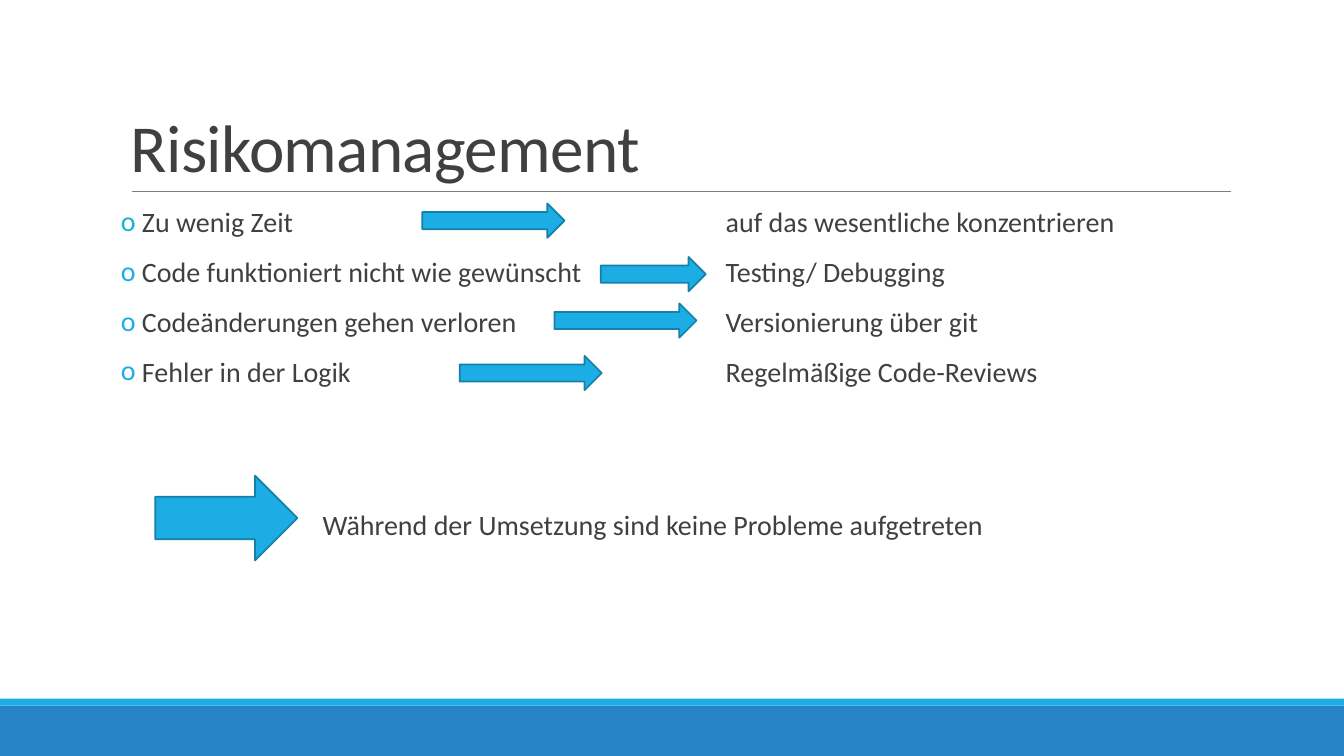
from lxml.etree import SubElement
from pptx import Presentation
from pptx.dml.color import RGBColor
from pptx.enum.shapes import MSO_CONNECTOR as Connector, MSO_SHAPE as Shape
from pptx.enum.text import MSO_ANCHOR as Anchor
from pptx.oxml.ns import qn
from pptx.util import Pt

RISKS = [
    ("Zu wenig Zeit", "auf das wesentliche konzentrieren", (301.7, 145.4, 101.5)),
    ("Code funktioniert nicht wie gewünscht", "Testing/ Debugging", (429.1, 183.6, 75)),
    ("Codeänderungen gehen verloren", "Versionierung über git", (396, 216.7, 101.5)),
    ("Fehler in der Logik", "Regelmäßige Code-Reviews", (328.3, 254.2, 101.5)),
]
BODY_LEFT, BODY_TOP, BODY_WIDTH = 86.4, 145.4, 792
ROW_PITCH = 36
CONCLUSION_ROW = 6
CONCLUSION_LEFT = 230.4
MEASURE_TAB = 432


def color(value):
    return RGBColor.from_string(value)


class RiskSlide:
    font = "Calibri"
    text_color = "404040"
    accent = "1CADE4"
    accent_edge = "1580A9"
    footer = "2683C6"
    rule_color = "808080"

    def __init__(self, presentation):
        self.slide = presentation.slides.add_slide(presentation.slide_layouts[6])

    def shape(self, kind, left, top, width, height, fill, edge=None):
        shape = self.slide.shapes.add_shape(kind, Pt(left), Pt(top), Pt(width), Pt(height))
        shape.shadow.inherit = False
        shape.fill.solid()
        shape.fill.fore_color.rgb = color(fill)
        if edge:
            shape.line.color.rgb = color(edge)
            shape.line.width = Pt(1.25)
        else:
            shape.line.fill.background()

    def arrow(self, left, top, width, height=24.5):
        self.shape(Shape.RIGHT_ARROW, left, top, width, height, self.accent, self.accent_edge)

    def rule(self, left, right, y):
        line = self.slide.shapes.add_connector(
            Connector.STRAIGHT, Pt(left), Pt(y), Pt(right), Pt(y))
        line.line.color.rgb = color(self.rule_color)
        line.line.width = Pt(0.5)
        SubElement(line._element.spPr, qn("a:effectLst"))

    def text(self, lines, left, top, width, height, size=20, line_spacing=0.9,
             before=12, after=2, inset=0, anchor=Anchor.TOP, tracking=None,
             bullet=None, tab=None):
        frame = self.slide.shapes.add_textbox(
            Pt(left), Pt(top), Pt(width), Pt(height)).text_frame
        frame.word_wrap = True
        frame.vertical_anchor = anchor
        frame.margin_left = frame.margin_right = Pt(inset)
        for index, line in enumerate(lines):
            paragraph = frame.add_paragraph() if index else frame.paragraphs[0]
            paragraph.line_spacing = line_spacing
            paragraph.space_before = Pt(before)
            paragraph.space_after = Pt(after)
            run = paragraph.add_run()
            run.text = line
            run.font.name = self.font
            run.font.size = Pt(size)
            run.font.color.rgb = color(self.text_color)
            if tracking:
                run.font._element.set("spc", str(int(tracking * 100)))
            properties = paragraph._p.get_or_add_pPr()
            if bullet:
                properties.set("marL", str(Pt(7.2)))
                properties.set("indent", str(Pt(-7.2)))
                bullet_color = SubElement(properties, qn("a:buClr"))
                SubElement(bullet_color, qn("a:srgbClr"), val=self.accent)
                SubElement(properties, qn("a:buFont"), typeface=self.font)
                SubElement(properties, qn("a:buChar"), char=bullet)
            if tab:
                tabs = SubElement(properties, qn("a:tabLst"))
                SubElement(tabs, qn("a:tab"), pos=str(Pt(tab)), algn="l")


def main():
    presentation = Presentation()
    presentation.slide_width, presentation.slide_height = Pt(960), Pt(540)
    page = RiskSlide(presentation)

    page.shape(Shape.RECTANGLE, 0, 504, 960, 36, page.footer)
    page.shape(Shape.RECTANGLE, 0, 499, 960, 5, page.accent)
    page.rule(94.3, 879, 136.8)
    page.text(["Risikomanagement"], BODY_LEFT, 22.3, BODY_WIDTH, 114.5, size=48,
              line_spacing=0.85, before=0, after=0, inset=7.2,
              anchor=Anchor.BOTTOM, tracking=-0.5)

    page.text([f" {risk}\t{measure}" for risk, measure, _ in RISKS],
              BODY_LEFT, BODY_TOP, BODY_WIDTH, len(RISKS) * ROW_PITCH,
              bullet="o", tab=MEASURE_TAB)
    for _, _, position in RISKS:
        page.arrow(*position)

    page.arrow(110.9, 339.8, 101.5, 60.5)
    page.text(["Während der Umsetzung sind keine Probleme aufgetreten"],
              CONCLUSION_LEFT, BODY_TOP + CONCLUSION_ROW * ROW_PITCH,
              BODY_LEFT + BODY_WIDTH - CONCLUSION_LEFT, ROW_PITCH)

    presentation.save("out.pptx")


if __name__ == "__main__":
    main()
